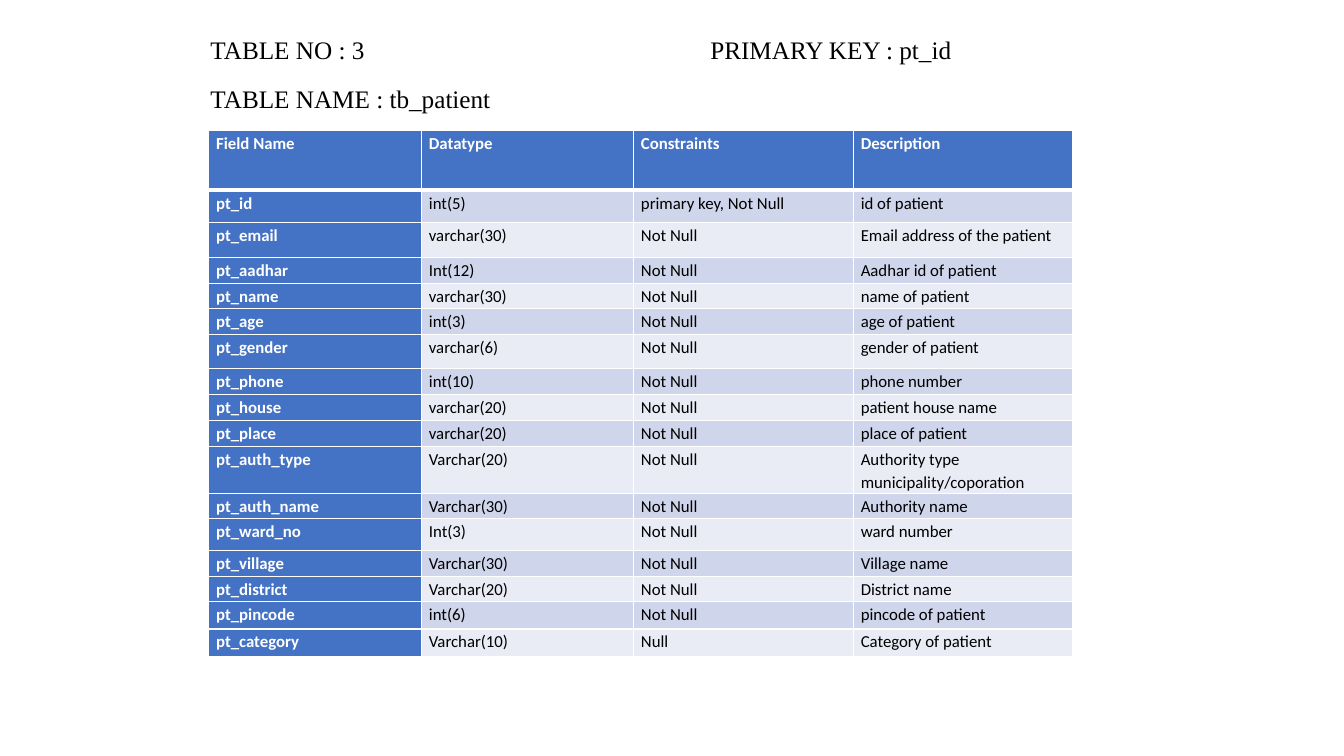
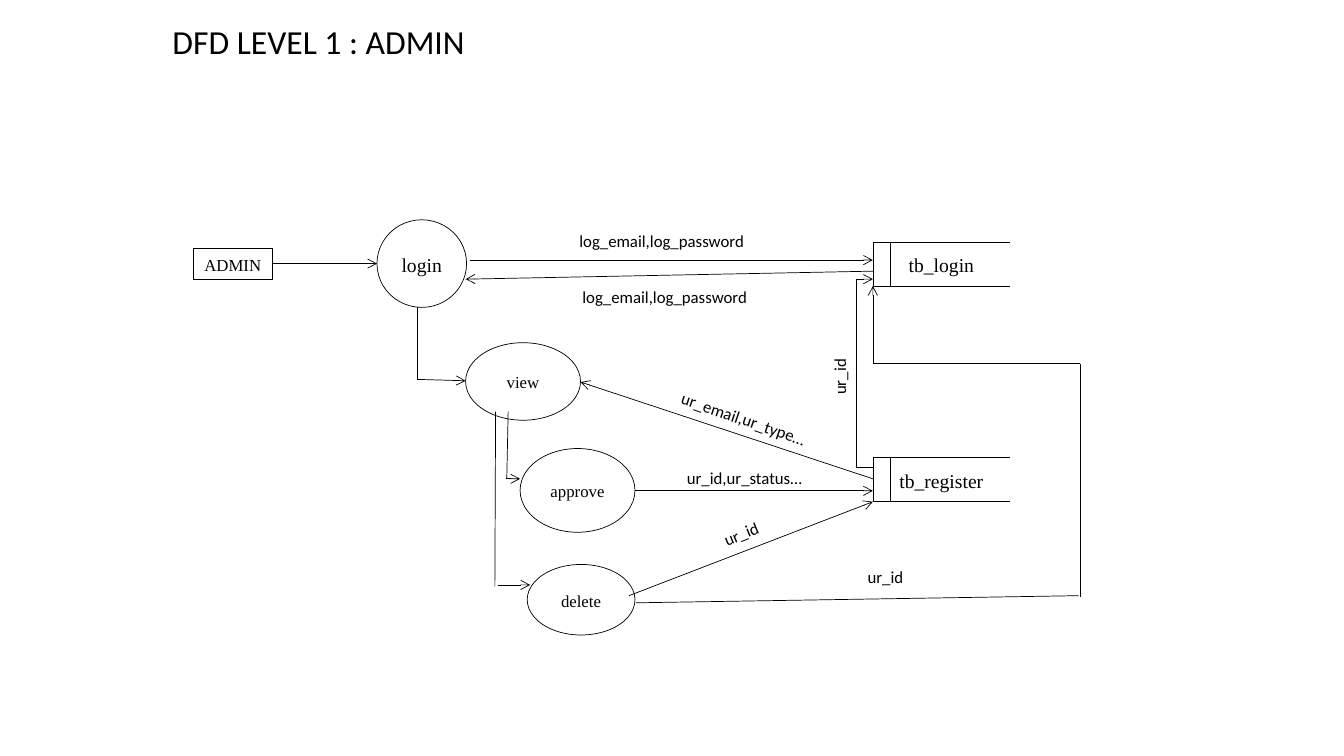
"""Build a patient table slide and an admin data-flow slide."""
from pptx import Presentation, dml
from pptx import util as u
from pptx.dml import color
from pptx.enum import shapes, text
from pptx.oxml import parse_xml, ns

Pt = u.Pt
INK, WHITE, BLUE = "000000", "FFFFFF", "4472C4"
BANDS = ["E9EBF5", "CFD5EA"]
SANS, SERIF = "Calibri", "Times New Roman"
LEFT, MID = text.PP_ALIGN.LEFT, text.PP_ALIGN.CENTER
NS = ns.nsdecls("a")


def rgb(code):
    return color.RGBColor.from_string(code)


def write(para, words, size=12, font=SANS, ink=INK, bold=False, align=MID, gap=1.07):
    para.alignment = align
    para.line_spacing = gap
    run = para.add_run()
    run.text = words
    run.font.size = Pt(size)
    run.font.name = font
    run.font.bold = bold
    run.font.color.rgb = rgb(ink)


deck = Presentation()
deck.slide_width, deck.slide_height = Pt(960), Pt(540)

page = deck.slides.add_slide(deck.slide_layouts[6])
head = page.shapes.add_textbox(Pt(143.3), Pt(18), Pt(657.4), Pt(66.2)).text_frame
head.word_wrap = True
first, second = head.paragraphs[0], head.add_paragraph()
write(first, "TABLE NO : 3\tPRIMARY KEY : pt_id", 18, SERIF, align=LEFT, gap=1.15)
write(second, "TABLE NAME : tb_patient", 18, SERIF, align=LEFT, gap=1.15)
first.space_after = Pt(10)
stop = f'<a:tabLst {NS}><a:tab pos="{Pt(357)}" algn="l"/></a:tabLst>'
first._p.get_or_add_pPr().append(parse_xml(stop))

rows = [
    (42.5, "Field Name", "Datatype", "Constraints", "Description"),
    (23.3, "pt_id", "int(5)", "primary key, Not Null", "id of patient"),
    (25, "pt_email", "varchar(30)", "Not Null", "Email address of the patient"),
    (18.2, "pt_aadhar", "Int(12)", "Not Null", "Aadhar id of patient"),
    (18.2, "pt_name", "varchar(30)", "Not Null", "name of patient"),
    (18.2, "pt_age", "int(3)", "Not Null", "age of patient"),
    (24.7, "pt_gender", "varchar(6)", "Not Null", "gender of patient"),
    (18.2, "pt_phone", "int(10)", "Not Null", "phone number"),
    (19, "pt_house", "varchar(20)", "Not Null", "patient house name"),
    (18.2, "pt_place", "varchar(20)", "Not Null", "place of patient"),
    (33.5, "pt_auth_type", "Varchar(20)", "Not Null", "Authority type municipality/coporation"),
    (18.2, "pt_auth_name", "Varchar(30)", "Not Null", "Authority name"),
    (23, "pt_ward_no", "Int(3)", "Not Null", "ward number"),
    (18.2, "pt_village", "Varchar(30)", "Not Null", "Village name"),
    (18.2, "pt_district", "Varchar(20)", "Not Null", "District name"),
    (19.4, "pt_pincode", "int(6)", "Not Null", "pincode of patient"),
    (19.4, "pt_category", "Varchar(10)", "Null", "Category of patient"),
]
wide = [152, 151.5, 157, 156.5]
high = sum(row[0] for row in rows)
grid = page.shapes.add_table(
    len(rows), len(wide), Pt(149.2), Pt(93.4), Pt(sum(wide)), Pt(high)).table
grid.first_col = True
for col, width in zip(grid.columns, wide):
    col.width = Pt(width)
for r, (height, *words) in enumerate(rows):
    grid.rows[r].height = Pt(height)
    for c, word in enumerate(words):
        cell = grid.cell(r, c)
        key = r == 0 or c == 0
        cell.margin_left = cell.margin_right = Pt(5.2)
        cell.margin_top = cell.margin_bottom = 0
        cell.fill.solid()
        cell.fill.fore_color.rgb = rgb(BLUE if key else BANDS[r % 2])
        write(cell.text_frame.paragraphs[0], word, ink=WHITE if key else INK,
              bold=key, align=LEFT, gap=1.15)
        for spot, side in enumerate("LRTB"):
            thick = 3 if (r, side) in [(0, "B"), (1, "T")] else 1
            edge = (f'<a:ln{side} {NS} w="{Pt(thick)}"><a:solidFill>'
                    f'<a:srgbClr val="{WHITE}"/></a:solidFill></a:ln{side}>')
            cell._tc.get_or_add_tcPr().insert(spot, parse_xml(edge))

page = deck.slides.add_slide(deck.slide_layouts[5])
title = page.shapes.title
title.left, title.top, title.width, title.height = Pt(116), Pt(12.2), Pt(345), Pt(38.2)
title.text_frame.vertical_anchor = text.MSO_ANCHOR.MIDDLE
write(title.text_frame.paragraphs[0], "DFD LEVEL 1 : ADMIN", 24, align=LEFT, gap=0.9)

RECT, OVAL = shapes.MSO_SHAPE.RECTANGLE, shapes.MSO_SHAPE.OVAL
nodes = {}
for kind, name, size, x, y, w, h in [
    (RECT, "ADMIN", 12, 138.2, 177.1, 56.2, 22.4),
    (OVAL, "login", 14, 269.3, 157, 64, 62.6),
    (OVAL, "view", 12, 332.6, 244.8, 82.1, 55.4),
    (OVAL, "approve", 12, 371.5, 320.4, 82.1, 59.8),
    (OVAL, "delete", 12, 376.6, 403.2, 77, 50.4),
]:
    nodes[name] = page.shapes.add_shape(kind, Pt(x), Pt(y), Pt(w), Pt(h)), size

near, far, deep = 623.5, 721.4, 31.5
stores = [("tb_login", 172.8), ("tb_register", 326.9)]
for name, top in stores:
    pen = page.shapes.build_freeform(Pt(far), Pt(top + deep))
    pen.add_line_segments(
        [(Pt(near), Pt(top + deep)), (Pt(near), Pt(top)), (Pt(far), Pt(top))], close=False)
    nodes[name] = pen.convert_to_shape(), 14

for name, (node, size) in nodes.items():
    node.shadow.inherit = False
    node.fill.solid()
    node.fill.fore_color.rgb = rgb(WHITE)
    node.line.color.rgb = rgb(INK)
    node.line.width = Pt(0.5)
    node.text_frame.word_wrap = False
    node.text_frame.vertical_anchor = text.MSO_ANCHOR.MIDDLE
    write(node.text_frame.paragraphs[0], name, size, SERIF)

arrows = [
    (194.4, 188.3, 269.3, 188.3),
    (298, 271, 332.6, 272),
    (335.5, 185.8, near, 185.8),
    (near, 193.7, 332.6, 199.4),
    (361.5, 342, 371.5, 342),
    (355.5, 417.8, 378.7, 417.8),
    (near, 342, 414.7, 272.9),
    (453.6, 350.6, near, 350.6),
    (449.3, 425.5, near, 358.4),
    (612, 199.4, near, 199.4),
    (near, 259.9, near, 204.3),
]
plain = [
    (298, 219.6, 298, 271.5),
    (363, 294, 362, 342),
    (354, 294, 353.5, 419),
    (454.3, 430.6, 770.4, 425.5),
    (771.8, 259.9, 771.8, 426.2),
    (771.8, 259.9, near, 259.9),
    (near, 334, 612, 334),
    (612, 199.4, 612, 334),
] + [(635.8, top, 635.8, top + deep) for name, top in stores]
for i, ends in enumerate(arrows + plain):
    link = page.shapes.add_connector(shapes.MSO_CONNECTOR.STRAIGHT, *map(Pt, ends))
    link.line.color.rgb = rgb(INK)
    link.line.width = Pt(0.5)
    if i == 0:
        link.begin_connect(nodes["ADMIN"][0], 3)
    if i < len(arrows):
        link.line._get_or_add_ln().append(parse_xml(f'<a:tailEnd {NS} type="arrow"/>'))
    link._element.spPr.append(parse_xml(f"<a:effectLst {NS}/>"))

for words, x, y, w, turn in [
    ("log_email,log_password", 371.5, 160.6, 202.3, 0),
    ("log_email,log_password", 373.7, 200.2, 202.3, 0),
    ("ur_email,ur_type…", 437.8, 287.3, 186.5, 18.9),
    ("ur_id,ur_status…", 438.5, 329.8, 186.5, 0),
    ("ur_id", 436.3, 369.4, 186.5, 338),
    ("ur_id", 524.9, 257, 150.5, 270),
    ("ur_id", 582.5, 400.3, 100, 0),
]:
    label = page.shapes.add_textbox(Pt(x), Pt(y), Pt(w), Pt(24.5))
    label.rotation = turn
    label.text_frame.word_wrap = True
    write(label.text_frame.paragraphs[0], words)

deck.save("out.pptx")
